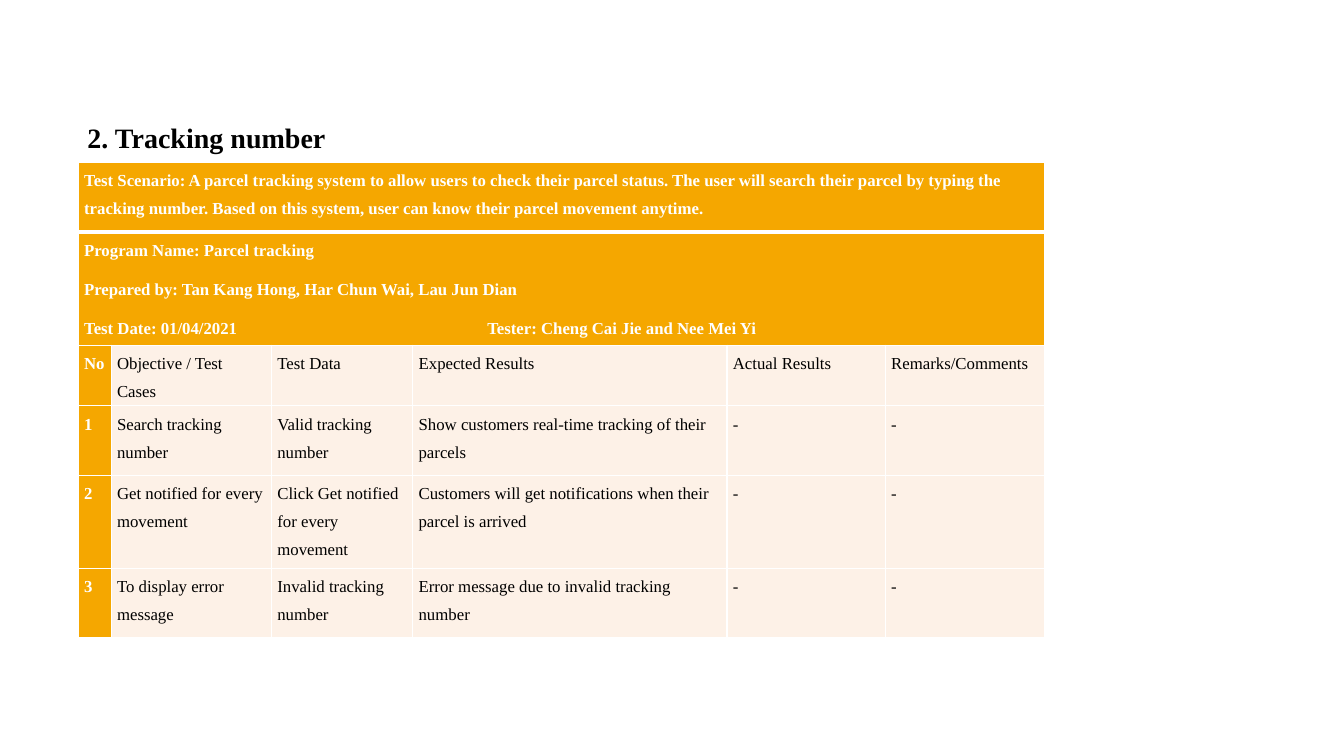
from lxml.etree import SubElement
from pptx import Presentation
from pptx.dml.color import RGBColor
from pptx.enum.text import MSO_ANCHOR, MSO_AUTO_SIZE, PP_ALIGN
from pptx.oxml.ns import qn
from pptx.util import Cm, Pt

WHITE = RGBColor(0xFF, 0xFF, 0xFF)
BLACK = RGBColor(0, 0, 0)
ORANGE = RGBColor(0xF5, 0xA7, 0x00)
CREAM = RGBColor(0xFD, 0xF1, 0xE7)

WIDTHS = [0.83, 4.04, 3.56, 7.92, 3.99, 4.01]
HEIGHTS = [1.75, 2.77, 0.97, 1.75, 2.34, 1.75]
HEADS = [
    ["Test Scenario: A parcel tracking system to allow users to check their "
     "parcel status. The user will search their parcel by typing the tracking "
     "number. Based on this system, user can know their parcel movement anytime."],
    ["Program Name: Parcel tracking",
     "Prepared by: Tan Kang Hong, Har Chun Wai, Lau Jun Dian",
     "Test Date: 01/04/2021\t\t\tTester: Cheng Cai Jie and Nee Mei Yi"],
]
CASES = [
    ["No", "Objective / Test Cases", "Test Data", "Expected Results",
     "Actual Results", "Remarks/Comments"],
    ["1", "Search tracking number", "Valid tracking number",
     "Show customers real-time tracking of their parcels", "-", "-"],
    ["2", "Get notified for every movement", "Click Get notified for every movement",
     "Customers will get notifications when their parcel is arrived", "-", "-"],
    ["3", "To display error message", "Invalid tracking number",
     "Error message due to invalid tracking number", "-", "-"],
]


def apply(item, form):
    for name, value in form.items():
        setattr(item, name, value)


class Deck:
    face = "Times New Roman"
    inset = {"margin_left": Cm(0.15), "margin_right": Cm(0.15),
             "margin_top": 0, "margin_bottom": 0}
    para = {"line_spacing": 1.5, "space_after": Pt(8), "alignment": PP_ALIGN.LEFT}

    def __init__(self):
        self.show = Presentation()
        apply(self.show, {"slide_width": Cm(33.87), "slide_height": Cm(19.05)})
        self.slide = self.show.slides.add_slide(self.show.slide_layouts[5])

    def font(self, part, size, color, bold):
        apply(part.font, {"name": self.face, "size": Pt(size), "bold": bold})
        part.font.color.rgb = color

    def title(self, text, left, top, width, height):
        shape = self.slide.shapes.title
        apply(shape, {"left": Cm(left), "top": Cm(top),
                      "width": Cm(width), "height": Cm(height)})
        frame = shape.text_frame
        frame.text = text
        apply(frame, {"word_wrap": False, "auto_size": MSO_AUTO_SIZE.SHAPE_TO_FIT_TEXT,
                      "vertical_anchor": MSO_ANCHOR.TOP})
        line = frame.paragraphs[0]
        line.alignment = PP_ALIGN.LEFT
        self.font(line.runs[0], 20, BLACK, True)

    def edge(self, cell, side, width):
        rule = SubElement(cell._tc.get_or_add_tcPr(), qn("a:ln" + side), w=str(Pt(width)))
        fill = SubElement(rule, qn("a:solidFill"))
        SubElement(fill, qn("a:srgbClr"), val=str(WHITE))

    def tabs(self, line):
        stops = SubElement(line._p.get_or_add_pPr(), qn("a:tabLst"))
        for inch in (2, 3, 4):
            SubElement(stops, qn("a:tab"), pos=str(Cm(2.54 * inch)), algn="l")

    def cell(self, cell, lines, head, thick=""):
        for side in "LRTB":
            self.edge(cell, side, 3 if side == thick else 1)
        cell.fill.solid()
        cell.fill.fore_color.rgb = ORANGE if head else CREAM
        apply(cell, self.inset)
        cell.text_frame.text = "\n".join(lines)
        for line in cell.text_frame.paragraphs:
            if "\t" in line.text:
                self.tabs(line)
            apply(line, self.para)
            self.font(line.runs[0], 12, WHITE if head else BLACK, head)

    def table(self, left, top):
        grid = self.slide.shapes.add_table(
            len(HEIGHTS), len(WIDTHS), Cm(left), Cm(top),
            Cm(sum(WIDTHS)), Cm(sum(HEIGHTS))).table
        apply(grid, {"first_row": False, "horz_banding": False})
        for col, width in zip(grid.columns, WIDTHS):
            col.width = Cm(width)
        for row, height in zip(grid.rows, HEIGHTS):
            row.height = Cm(height)
        for at, lines in enumerate(HEADS):
            first = grid.cell(at, 0)
            first.merge(grid.cell(at, len(WIDTHS) - 1))
            self.cell(first, lines, True, "BT"[at])
        for at, case in enumerate(CASES, len(HEADS)):
            for col, text in enumerate(case):
                self.cell(grid.cell(at, col), [text], col == 0)


def main():
    deck = Deck()
    deck.table(1.97, 4.1)
    deck.title("2. Tracking number", 1.95, 2.92, 6.55, 1.11)
    deck.show.save("out.pptx")


if __name__ == "__main__":
    main()
